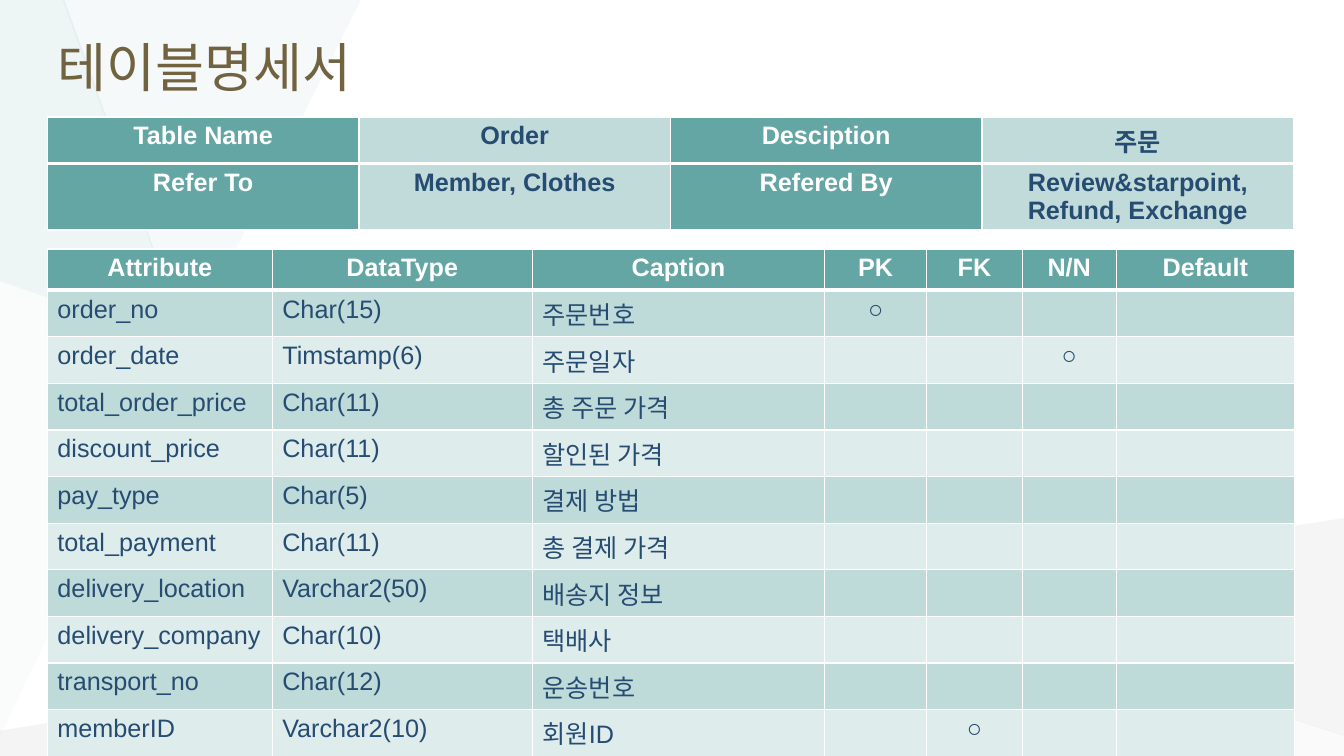
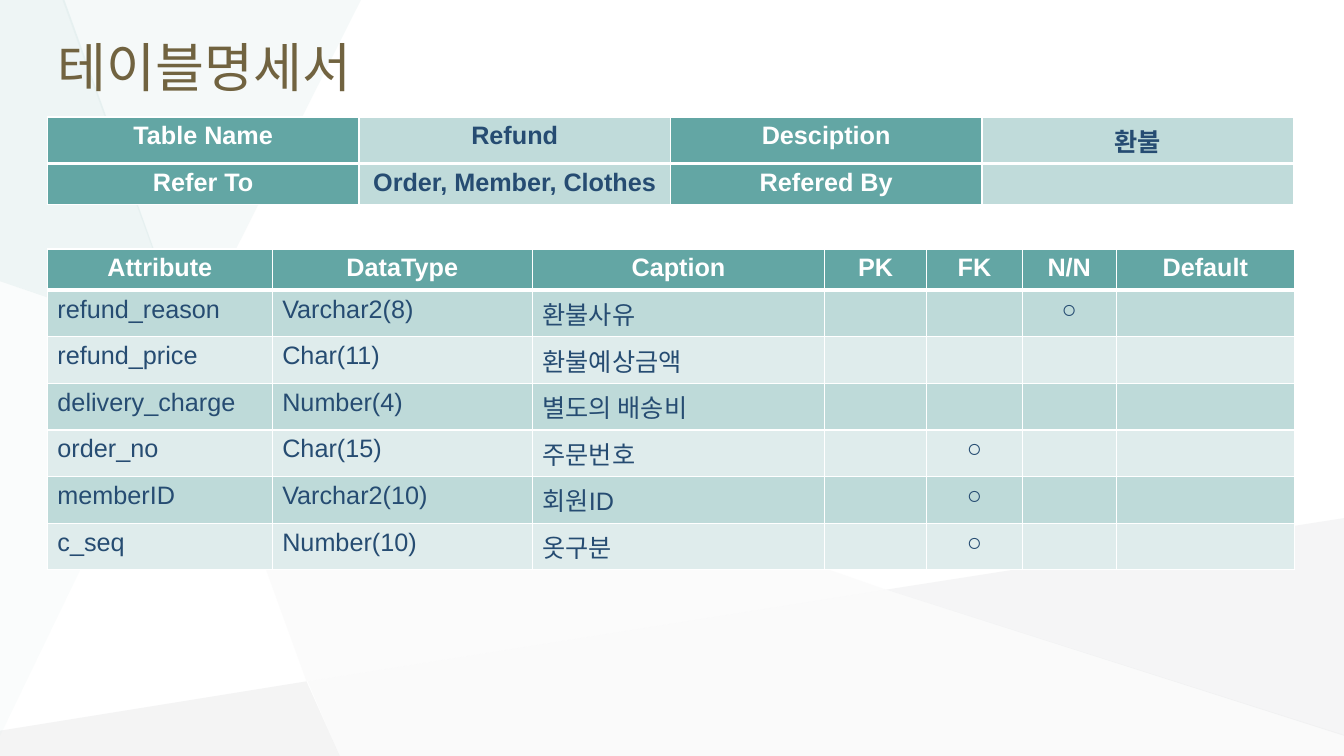
from lxml import etree
from pptx import Presentation
from pptx.dml.color import RGBColor
from pptx.enum import text
from pptx.oxml import ns
from pptx.util import Inches, Pt

FONT = "Arial"
WHITE = RGBColor(0xFF, 0xFF, 0xFF)
BROWN = RGBColor(0x71, 0x63, 0x40)
NAVY = RGBColor(0x26, 0x4C, 0x72)
TEAL = RGBColor(0x63, 0xA6, 0xA4)
BAND_DARK = RGBColor(0xBE, 0xDA, 0xD9)
BAND_LIGHT = RGBColor(0xDF, 0xEC, 0xEC)
FACET_PALE = RGBColor(0xF3, 0xF2, 0xF2)
FACET_GREY = RGBColor(0xB6, 0xB8, 0xBA)
FACET_SILVER = RGBColor(0xC6, 0xC8, 0xCA)
FACET_MIST = RGBColor(0xE0, 0xED, 0xED)
FACET_MINT = RGBColor(0xC1, 0xDB, 0xDB)

# Background facets: colour, opacity in percent, corners in inches
FACETS = [
    (FACET_PALE, 26, [(1.9, 3.44), (2.42, 5.05), (3.04, 6.76), (8.79, 5.85)]),
    (FACET_GREY, 15, [(3.04, 6.76), (0, 7.25), (0, 7.5), (3.37, 7.5)]),
    (FACET_MIST, 31, [(3.58, 0), (0.62, 0), (1.86, 3.43)]),
    (FACET_SILVER, 17, [(13.33, 5.14), (8.79, 5.85), (13.33, 7.3)]),
    (FACET_GREY, 6, [(8.79, 5.85), (3.05, 6.76), (3.37, 7.5), (13.33, 7.5), (13.33, 7.29)]),
    (FACET_MINT, 27, [(0.64, 0), (0, 0), (0, 2.79), (1.87, 3.43)]),
    (FACET_MINT, 8, [(0, 2.79), (0, 7.3), (1.87, 3.43)]),
]

LEFT, ROW_HEIGHT = 0.47, 0.41
INFO_TOP, INFO_WIDTHS = 1.16, [3.09] * 4
ATTRIBUTE_TOP = 2.47
ATTRIBUTE_WIDTHS = [2.23, 2.58, 2.9, 1.01, 0.95, 0.93, 1.77]
HEADINGS = ["Attribute", "DataType", "Caption", "PK", "FK", "N/N", "Default"]
THIN, THICK = 1, 3


class SpecDeck:
    """Holds the shared style and the current slide."""

    def __init__(self):
        self.prs = Presentation()
        self.prs.slide_width, self.prs.slide_height = Inches(13.33), Inches(7.5)
        self.layout = self.prs.slide_layouts[5]
        heading = self.layout.placeholders[0]
        heading.left, heading.top = Inches(LEFT), Inches(0.14)
        heading.width, heading.height = Inches(12.36), Inches(1.03)
        self.slide = None

    def new_slide(self, title):
        self.slide = self.prs.slides.add_slide(self.layout)
        if len(self.prs.slides) == 1:
            self.background()
        frame = self.slide.shapes.title.text_frame
        frame.vertical_anchor = text.MSO_ANCHOR.MIDDLE
        self.add_words(frame, title, 38, BROWN, False, text.PP_ALIGN.LEFT)

    def background(self):
        """Draw the facets once and hand them to the shared layout."""
        for index, (color, opacity, corners) in enumerate(FACETS):
            points = [(Inches(x), Inches(y)) for x, y in corners]
            builder = self.slide.shapes.build_freeform(*points[0])
            builder.add_line_segments(points[1:], close=True)
            facet = builder.convert_to_shape()
            facet.shadow.inherit = False
            facet.line.fill.background()
            self.paint(facet.fill, facet.element.spPr, color, opacity)
            self.layout.shapes.element.insert(2 + index, facet.element)

    def paint(self, fill, properties, color, opacity=100):
        fill.solid()
        fill.fore_color.rgb = color
        if opacity < 100:
            rgb = properties.find(ns.qn("a:solidFill")).find(ns.qn("a:srgbClr"))
            etree.SubElement(rgb, ns.qn("a:alpha"), val=str(opacity * 1000))

    def add_words(self, frame, words, size, color, bold, align):
        paragraph = frame.paragraphs[0]
        paragraph.alignment = align
        if words:
            run = paragraph.add_run()
            run.text = words
            run.font.name, run.font.size = FONT, Pt(size)
            run.font.bold, run.font.color.rgb = bold, color

    def borders(self, cell, top, bottom):
        properties = cell._tc.get_or_add_tcPr()
        sides = [("lnL", THIN), ("lnR", THIN), ("lnT", top), ("lnB", bottom)]
        for index, (side, width) in enumerate(sides):
            line = etree.Element(ns.qn("a:" + side), w=str(Pt(width)))
            solid = etree.SubElement(line, ns.qn("a:solidFill"))
            etree.SubElement(solid, ns.qn("a:srgbClr"), val=str(WHITE))
            properties.insert(index, line)

    def table(self, top, widths, rows, style):
        """style(row, column) gives fill, opacity, text colour, bold, centred."""
        table = self.slide.shapes.add_table(
            len(rows), len(widths), Inches(LEFT), Inches(top),
            Inches(sum(widths)), Inches(ROW_HEIGHT * len(rows))).table
        table.first_row = table.horz_banding = False
        for column, width in zip(table.columns, widths):
            column.width = Inches(width)
        for r, row in enumerate(rows):
            table.rows[r].height = Inches(ROW_HEIGHT)
            for c, words in enumerate(row):
                cell = table.cell(r, c)
                fill, opacity, color, bold, centred = style(r, c)
                align = text.PP_ALIGN.CENTER if centred else text.PP_ALIGN.LEFT
                self.add_words(cell.text_frame, words, 18, color, bold, align)
                self.paint(cell.fill, cell._tc.get_or_add_tcPr(), fill, opacity)
                self.borders(cell, THICK if r == 1 else THIN, THICK if r == 0 else THIN)

    def info_table(self, name, description, refers_to, referred_by):
        rows = [["Table Name", name, "Desciption", description],
                ["Refer To", refers_to, "Refered By", referred_by]]

        def style(row, column):
            if column % 2 == 0:
                return TEAL, 100, WHITE, True, True
            return TEAL, 40, NAVY, True, True

        self.table(INFO_TOP, INFO_WIDTHS, rows, style)

    def attribute_table(self, attributes):
        rows = [HEADINGS]
        for *labels, mark in attributes:
            rows.append(labels + ["○" if h == mark else "" for h in HEADINGS[3:]])

        def style(row, column):
            if row == 0:
                return TEAL, 100, WHITE, True, True
            return BAND_DARK if row % 2 else BAND_LIGHT, 100, NAVY, False, column > 2

        self.table(ATTRIBUTE_TOP, ATTRIBUTE_WIDTHS, rows, style)


# Content: table facts, then attribute, type, caption and marked column
SPECIFICATIONS = [
    (("Order", "주문", "Member, Clothes", "Review&starpoint, Refund, Exchange"), [
        ("order_no", "Char(15)", "주문번호", "PK"),
        ("order_date", "Timstamp(6)", "주문일자", "N/N"),
        ("total_order_price", "Char(11)", "총 주문 가격", None),
        ("discount_price", "Char(11)", "할인된 가격", None),
        ("pay_type", "Char(5)", "결제 방법", None),
        ("total_payment", "Char(11)", "총 결제 가격", None),
        ("delivery_location", "Varchar2(50)", "배송지 정보", None),
        ("delivery_company", "Char(10)", "택배사", None),
        ("transport_no", "Char(12)", "운송번호", None),
        ("memberID", "Varchar2(10)", "회원ID", "FK"),
    ]),
    (("Refund", "환불", "Order, Member, Clothes", ""), [
        ("refund_reason", "Varchar2(8)", "환불사유", "N/N"),
        ("refund_price", "Char(11)", "환불예상금액", None),
        ("delivery_charge", "Number(4)", "별도의 배송비", None),
        ("order_no", "Char(15)", "주문번호", "FK"),
        ("memberID", "Varchar2(10)", "회원ID", "FK"),
        ("c_seq", "Number(10)", "옷구분", "FK"),
    ]),
]


def main():
    deck = SpecDeck()
    for facts, attributes in SPECIFICATIONS:
        deck.new_slide("테이블명세서")
        deck.attribute_table(attributes)
        deck.info_table(*facts)
    deck.prs.save("out.pptx")


if __name__ == "__main__":
    main()
